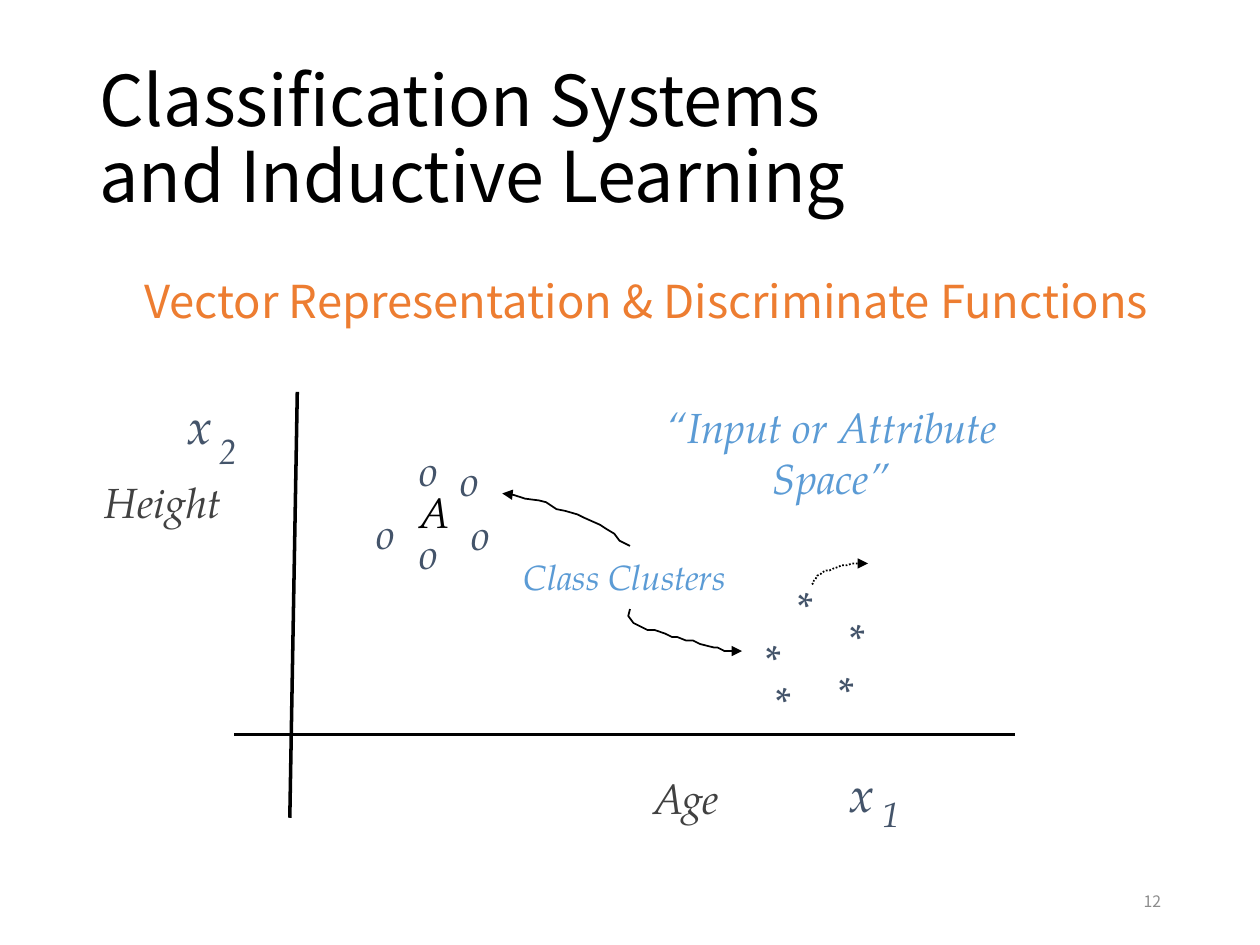
import pptx
import pptx.util
import pptx.dml.color
import pptx.enum.dml
import pptx.enum.shapes
import pptx.enum.text
import pptx.oxml
import pptx.oxml.ns
import lxml.etree

Pt = pptx.util.Pt
RGB = pptx.dml.color.RGBColor.from_string
qn = pptx.oxml.ns.qn
ALIGN = pptx.enum.text.PP_ALIGN
ANCHOR = pptx.enum.text.MSO_ANCHOR

THEME = {
    "sans": "Noto Sans CJK KR", "serif": "TeX Gyre Pagella",
    "black": "000000", "orange": "ED7D31", "slate": "44546A",
    "gray": "414141", "blue": "5B9BD5", "pale": "8C8C8C",
    "title": 40, "subtitle": 25.9, "axis": 28, "label": 24, "small": 20, "number": 9,
}


def put_text(sp, text, box, size, color, font="serif", italic=True, align=ALIGN.LEFT,
             anchor=ANCHOR.TOP, wrap=False, spacing=None):
    """Place sp at box (left, top, width, height) and fill it; size, color and font are THEME keys."""
    sp.left, sp.top, sp.width, sp.height = [Pt(v) for v in box]
    tf = sp.text_frame
    tf.text = text
    tf.word_wrap = wrap
    tf.auto_size = pptx.enum.text.MSO_AUTO_SIZE.NONE
    tf.vertical_anchor = anchor
    for p in tf.paragraphs:
        p.alignment = align
        p.space_before = Pt(0)
        if spacing:
            p.line_spacing = spacing
        for r in p.runs:
            r.font.name = THEME[font]
            r.font.size = Pt(THEME[size])
            r.font.italic = italic
            r.font.color.rgb = RGB(THEME[color])


prs = pptx.Presentation()
prs.slide_width, prs.slide_height = Pt(720), Pt(540)
slide = prs.slides.add_slide(prs.slide_layouts[1])
shapes = slide.shapes

# Title, subtitle and slide number
put_text(shapes.title, "Classification Systems\vand Inductive Learning", (49.5, 28.8, 621, 104.4),
         "title", "black", font="sans", italic=False, anchor=ANCHOR.MIDDLE, wrap=True, spacing=0.9)
body = slide.placeholders[1]
put_text(body, "Vector Representation & Discriminate Functions", (66.2, 156.2, 606.2, 54),
         "subtitle", "orange", font="sans", italic=False, align=ALIGN.CENTER, wrap=True, spacing=0.9)
pPr = body.text_frame.paragraphs[0]._p.get_or_add_pPr()
pPr.set("marL", str(Pt(13.5)))
pPr.set("indent", str(Pt(-13.5)))
lxml.etree.SubElement(pPr, qn("a:buNone"))
put_text(shapes.add_textbox(0, 0, 0, 0), "12", (508.5, 500.5, 162, 28.8), "number", "pale",
         font="sans", italic=False, align=ALIGN.RIGHT, anchor=ANCHOR.MIDDLE, wrap=True)

# Axes
for x1, y1, x2, y2 in [(169.9, 223.9, 165.6, 467.3), (133.9, 419.8, 580.3, 419.8)]:
    axis = shapes.add_connector(pptx.enum.shapes.MSO_CONNECTOR.STRAIGHT, Pt(x1), Pt(y1), Pt(x2), Pt(y2))
    axis.line.color.rgb = RGB(THEME["black"])
    axis.line.width = Pt(2)
    lxml.etree.SubElement(axis._element.spPr, qn("a:effectLst"))

# Axis names and labels
labels = [
    ("x", (100.1, 222.5, 29.5, 41.8), "axis", "slate"),
    ("2", (118.1, 241.9, 25.2, 31.7), "small", "slate"),
    ("Height", (52.6, 268.6, 82.1, 36.7), "label", "gray"),
    ("x", (478.1, 432.7, 29.5, 41.8), "axis", "slate"),
    ("1", (497.5, 449.3, 23.8, 31.7), "small", "slate"),
    ("Age", (366.5, 437.8, 54, 36.7), "label", "gray"),
    ("A", (232.6, 274.3, 32.4, 36.7), "label", "black"),
    ("Class Clusters", (292.3, 313.9, 131, 31.7), "small", "blue"),
]
for text, box, size, color in labels:
    put_text(shapes.add_textbox(0, 0, 0, 0), text, box, size, color)
put_text(shapes.add_textbox(0, 0, 0, 0), "“Input or Attribute\nSpace”", (372.2, 226.1, 205.9, 65.5),
         "label", "blue", align=ALIGN.CENTER)

# Members of the two clusters
clusters = {
    "o": [(232.6, 250.6), (256.3, 256.3), (262.1, 287.3), (232.6, 298.1), (208.1, 286.6)],
    "*": [(448.6, 328.3), (478.1, 346.3), (472.3, 376.6), (436.3, 382.3), (430.6, 358.6)],
}
for mark, places in clusters.items():
    for x, y in places:
        put_text(shapes.add_textbox(0, 0, 0, 0), mark, (x, y, 25, 36.7), "label", "slate")

# Arrows to the clusters, and the dotted one sampled from a Bézier curve
to_circles = [
    (360, 311.8), (356.4, 309.6), (353.5, 308.9), (351.4, 305.3), (346.3, 301.7), (343.4, 299.5),
    (334.1, 295.9), (329.8, 293.8), (322.6, 291.6), (318.2, 290.9), (315.4, 288.7), (311.8, 287.3),
    (308.2, 285.8), (300.2, 285.1), (297.4, 283.7), (293.8, 283), (290.2, 281.5), (286.6, 281.5),
]
to_stars = [
    (360, 347.8), (358.6, 352.1), (362.2, 355.7), (366.5, 357.8), (370.1, 360), (373.7, 360),
    (376.6, 361.4), (380.2, 362.2), (383.8, 363.6), (387.4, 364.3), (391.7, 365.8), (396, 366.5),
    (400.3, 367.9), (403.9, 369.4), (407.5, 370.1), (410.4, 370.1), (414, 371.5), (424.1, 371.5),
]
controls = [(464.4, 334.1), (465.1, 327.6), (478.8, 321.8), (496.1, 321.8)]
steps = 16
from_star = []
for i in range(steps + 1):
    t = i / steps
    weights = [(1 - t) ** 3, 3 * t * (1 - t) ** 2, 3 * t ** 2 * (1 - t), t ** 3]
    from_star.append(tuple(sum(w * c[k] for w, c in zip(weights, controls)) for k in (0, 1)))

for points, dotted in [(to_circles, False), (to_stars, False), (from_star, True)]:
    builder = shapes.build_freeform(*points[0], scale=Pt(1))
    builder.add_line_segments(points[1:], close=False)
    arrow = builder.convert_to_shape()
    arrow.shadow.inherit = False
    arrow.fill.background()
    arrow.line.color.rgb = RGB(THEME["black"])
    arrow.line.width = Pt(1)
    if dotted:
        arrow.line.dash_style = pptx.enum.dml.MSO_LINE.ROUND_DOT
    ln = arrow._element.spPr.find(qn("a:ln"))
    lxml.etree.SubElement(ln, qn("a:tailEnd"), type="triangle")

prs.save("out.pptx")
